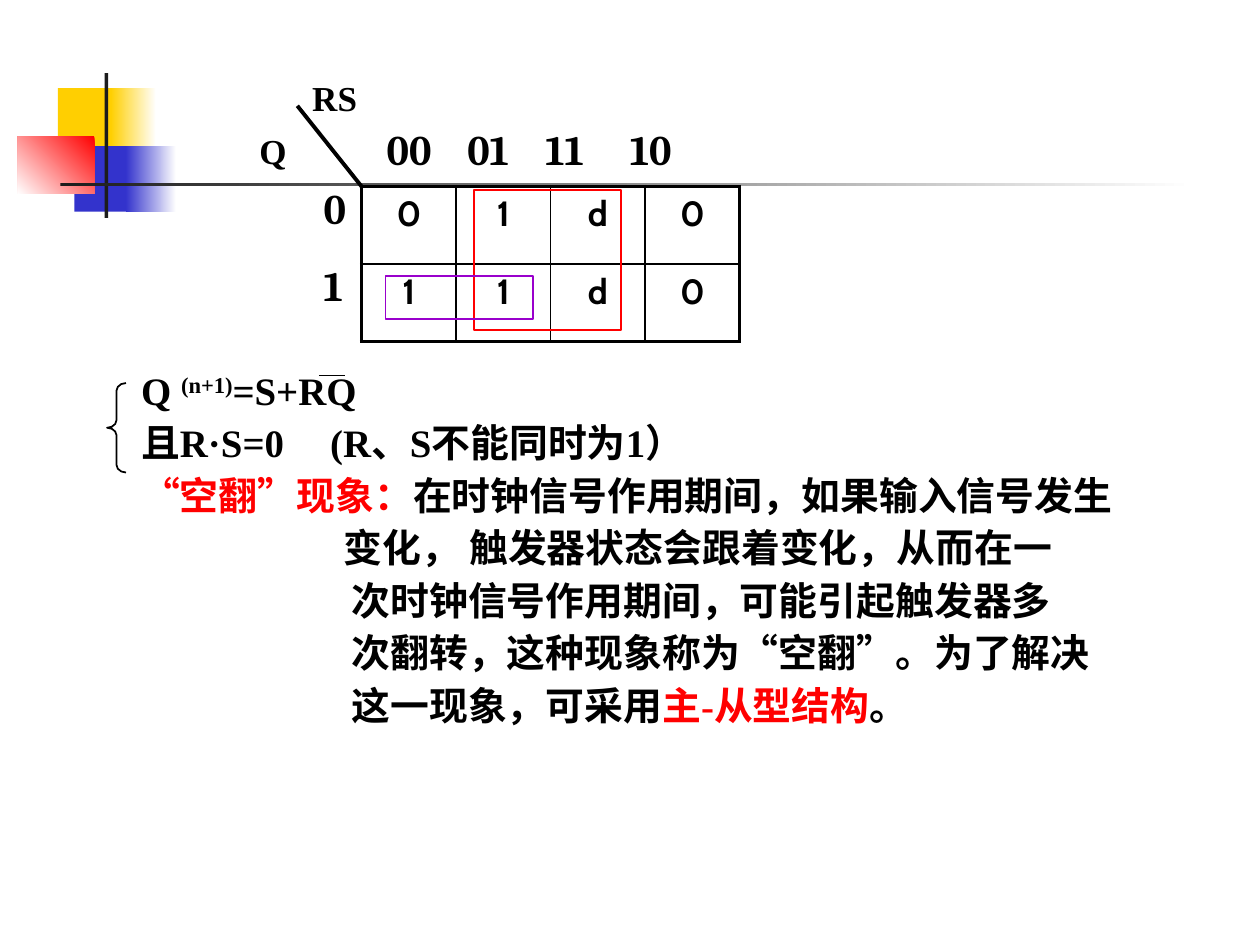
import pptx
import pptx.dml.color
import pptx.enum.shapes
import pptx.enum.text
import pptx.oxml
import pptx.oxml.ns
import pptx.util
from lxml import etree

Inches, Pt = pptx.util.Inches, pptx.util.Pt
SHAPE = pptx.enum.shapes.MSO_SHAPE
ALIGN = pptx.enum.text.PP_ALIGN
AUTO = pptx.enum.text.MSO_AUTO_SIZE
qn = pptx.oxml.ns.qn

C = {"text": "000000", "red": "FF0000", "purple": "9900CC", "yellow": "FFCF01",
     "blue": "3333CC", "dark": "1C1C1C", "white": "FFFFFF"}
SERIF = "Times New Roman"

# Karnaugh map grid
MAP_X, MAP_Y, COL_W, ROW_H = 2.87, 1.48, 0.75, 0.615
MAP_VALUES = ["01d0", "11d0"]


def rgb(name):
    return pptx.dml.color.RGBColor.from_string(C[name])


def write(p, text, font=SERIF, size=20, color="text", base=0):
    """Add one bold run to a paragraph."""
    r = p.add_run()
    r.text = text
    r.font.name, r.font.size, r.font.bold = font, Pt(size), True
    r.font.color.rgb = rgb(color)
    if base:
        r._r.get_or_add_rPr().set("baseline", str(base * 1000))


def add_tabs(p, stops):
    tabs = etree.SubElement(p._p.get_or_add_pPr(), qn("a:tabLst"))
    for stop in stops:
        etree.SubElement(tabs, qn("a:tab"), pos=str(Inches(stop)), algn="l")


def add_label(slide, x, y, w, h, lines, tabs=(), **fmt):
    tf = slide.shapes.add_textbox(Inches(x), Inches(y), Inches(w), Inches(h)).text_frame
    tf.word_wrap = True
    tf.auto_size = AUTO.SHAPE_TO_FIT_TEXT
    for i, line in enumerate(lines):
        p = tf.add_paragraph() if i else tf.paragraphs[0]
        if tabs:
            add_tabs(p, tabs)
        if i:
            p.space_before = Pt(15)
        write(p, line, **fmt)


def add_shape(slide, kind, x, y, w, h, fill=None, fade=None, angle=0, line=None):
    """Add a preset shape; fade is the second colour of a gradient."""
    sp = slide.shapes.add_shape(kind, Inches(x), Inches(y), Inches(w), Inches(h))
    sp.shadow.inherit = False
    if fade:
        sp.fill.gradient()
        sp.fill.gradient_angle = angle
        for stop, color in zip(sp.fill.gradient_stops, (fill, fade)):
            stop.color.rgb = rgb(color)
    elif fill:
        sp.fill.solid()
        sp.fill.fore_color.rgb = rgb(fill)
    else:
        sp.fill.background()
    if line:
        sp.line.color.rgb = rgb(line)
        sp.line.width = Pt(1)
    else:
        sp.line.fill.background()
    return sp


def add_line(slide, x1, y1, x2, y2, width):
    cn = slide.shapes.add_connector(pptx.enum.shapes.MSO_CONNECTOR.STRAIGHT,
                                    Inches(x1), Inches(y1), Inches(x2), Inches(y2))
    cn.line.color.rgb = rgb("text")
    cn.line.width = Pt(width)
    etree.SubElement(cn._element.spPr, qn("a:effectLst"))


def set_borders(cell, widths):
    """Put the left, right, top and bottom borders before the cell's fill."""
    tcPr = cell._tc.get_or_add_tcPr()
    for i, (side, width) in enumerate(zip("LRTB", widths)):
        ln = etree.Element(qn("a:ln" + side), w=str(Pt(width)))
        fill = etree.SubElement(ln, qn("a:solidFill"))
        etree.SubElement(fill, qn("a:srgbClr"), val=C["text"])
        tcPr.insert(i, ln)


def add_map(slide):
    rows, cols = len(MAP_VALUES), len(MAP_VALUES[0])
    table = slide.shapes.add_table(rows, cols, Inches(MAP_X), Inches(MAP_Y),
                                   Inches(cols * COL_W), Inches(rows * ROW_H)).table
    table.first_row = table.horz_banding = False
    for i, values in enumerate(MAP_VALUES):
        for j, value in enumerate(values):
            cell = table.cell(i, j)
            cell.fill.background()
            outer = (j == 0, j == cols - 1, i == 0, i == rows - 1)
            set_borders(cell, [2.25 if edge else 1 for edge in outer])
            p = cell.text_frame.paragraphs[0]
            p.alignment = ALIGN.CENTER
            write(p, value, font="Cabin")


def add_decoration(slide):
    rect = SHAPE.RECTANGLE
    add_shape(slide, rect, 0.46, 0.7, 0.48, 0.52, "yellow")
    add_shape(slide, rect, 0.88, 0.7, 0.36, 0.52, "yellow", "white")
    add_shape(slide, rect, 0.59, 1.16, 0.46, 0.52, "blue")
    add_shape(slide, rect, 1, 1.16, 0.4, 0.52, "blue", "white")
    add_shape(slide, rect, 0.14, 1.08, 0.61, 0.46, "red", "white", angle=225)
    add_shape(slide, rect, 0.83, 0.58, 0.03, 1.15, "dark")
    add_shape(slide, rect, 0.48, 1.45, 9, 0.03, "dark", "white")


def fill_body(body):
    body.left, body.top, body.width, body.height = map(Inches, (1.02, 2.9, 8.46, 3.55))
    tf = body.text_frame
    tf.word_wrap = True
    tf.auto_size = AUTO.NONE
    tf.vertical_anchor = pptx.enum.text.MSO_ANCHOR.TOP
    # Each line: left indent in inches, then its runs
    lines = [
        (0, [("Q ", {}), ("(n+1)", {"base": 30}), ("=S+RQ", {})]),
        (0, [("且R·S=0\t(R、S不能同时为1）", {})]),
        (0, [("“空翻”现象：", {"color": "red"}),
             ("在时钟信号作用期间，如果输入信号发生", {})]),
        (1.61, [("变化， 触发器状态会跟着变化，从而在一", {})]),
        (1.67, [("次时钟信号作用期间，可能引起触发器多", {})]),
        (1.67, [("次翻转，这种现象称为“空翻”。为了解决", {})]),
        (1.67, [("这一现象，可采用", {}), ("主-从型结构", {"color": "red"}), ("。", {})]),
    ]
    for i, (indent, runs) in enumerate(lines):
        p = tf.add_paragraph() if i else tf.paragraphs[0]
        pPr = p._p.get_or_add_pPr()
        pPr.set("marL", str(Inches(indent)))
        pPr.set("indent", "0")
        etree.SubElement(pPr, qn("a:buNone"))
        if any("\t" in text for text, _ in runs):
            add_tabs(p, [1.52])
        p.line_spacing = 0.9
        p.space_before = Pt(6 if i else 0)
        for text, fmt in runs:
            write(p, text, size=22.2, **fmt)


def main():
    prs = pptx.Presentation()
    prs.slide_width, prs.slide_height = Inches(10), Inches(7.5)
    slide = prs.slides.add_slide(prs.slide_layouts[1])
    title = slide.shapes.title._element
    title.getparent().remove(title)

    add_decoration(slide)
    fill_body(slide.placeholders[1])

    # Karnaugh map with its axis labels
    add_map(slide)
    add_line(slide, MAP_X, MAP_Y, 2.36, 0.84, 2.25)
    add_label(slide, 2.38, 0.56, 0.7, 0.44, ["RS"])
    add_label(slide, 1.96, 0.98, 0.5, 0.44, ["Q"])
    add_label(slide, 2.97, 0.93, 3.15, 0.5, ["00\t01\t11\t10"],
              tabs=(0.64, 1.26, 1.93), font="Cambria", size=24)
    add_label(slide, 2.47, 1.4, 0.51, 1.11, ["0", "1"], font="Cambria", size=24)

    # Groups of ones
    add_shape(slide, SHAPE.RECTANGLE, 3.76, 1.51, 1.17, 1.11, line="red")
    add_shape(slide, SHAPE.RECTANGLE, 3.06, 2.19, 1.17, 0.34, line="purple")

    # Overbar and brace of the equations
    add_line(slide, 2.53, 2.98, 2.74, 2.98, 1)
    brace = add_shape(slide, SHAPE.LEFT_BRACE, 0.85, 3.04, 0.15, 0.71, line="text")
    brace.adjustments[0] = 0.4

    prs.save("out.pptx")


if __name__ == "__main__":
    main()
